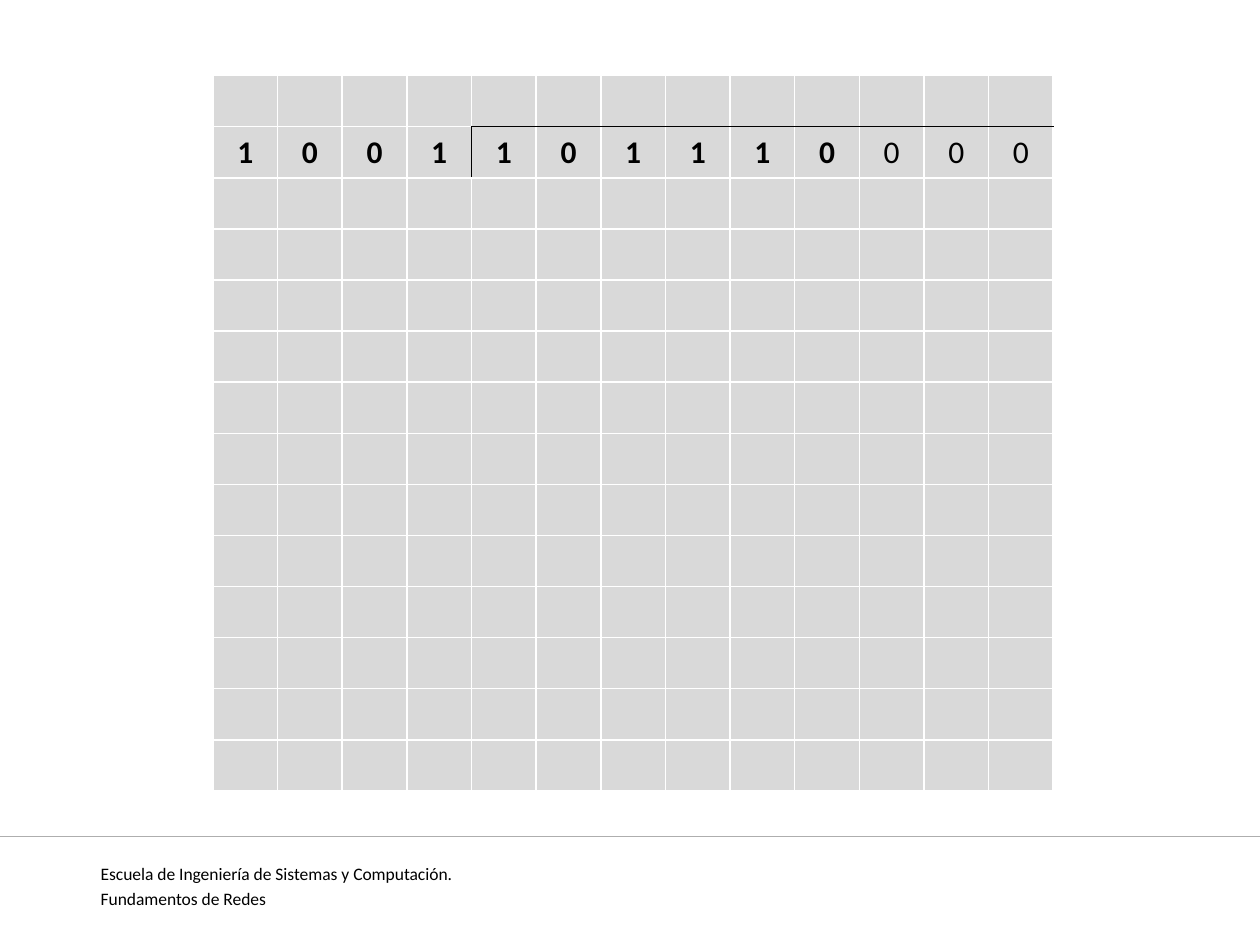
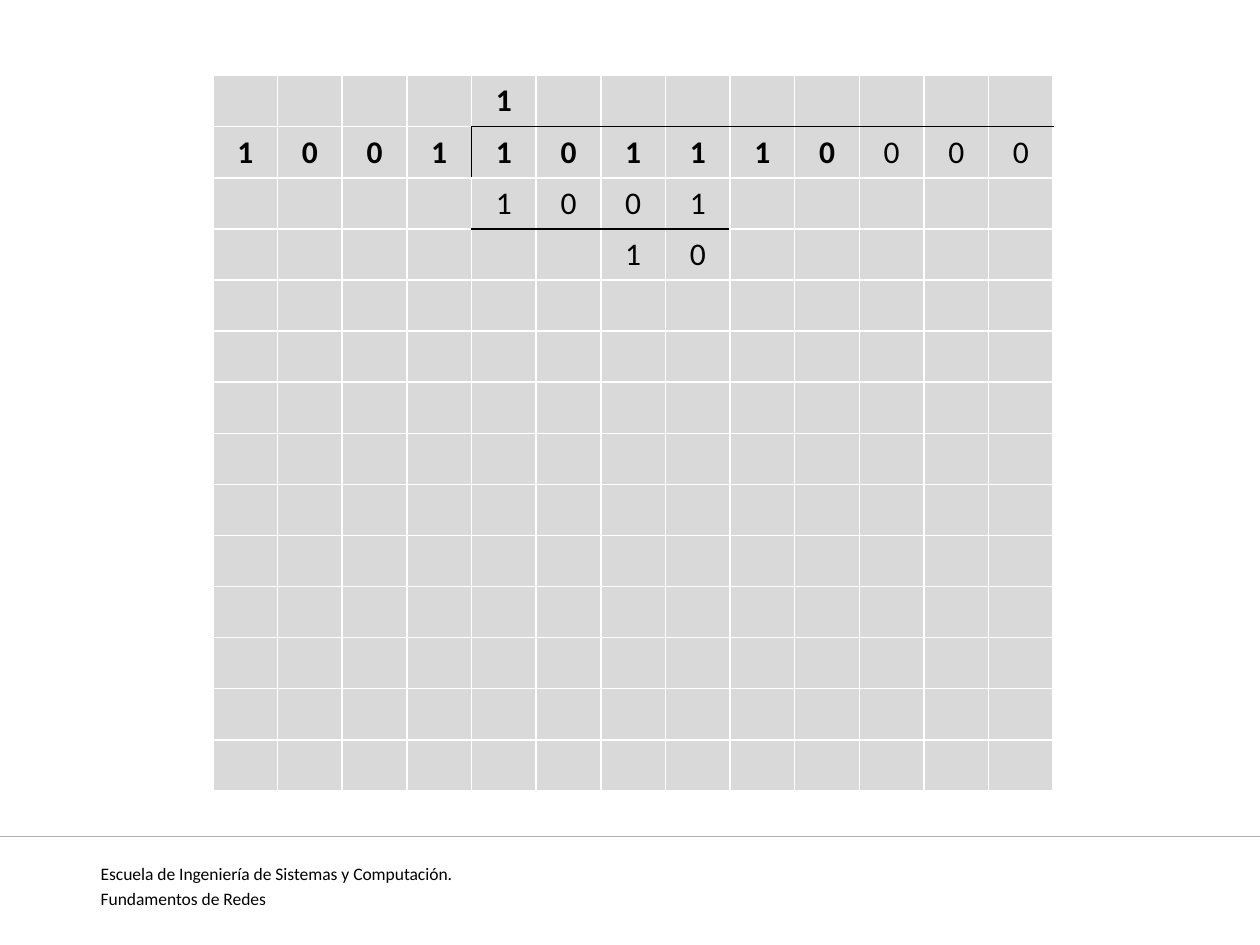
from collections import namedtuple

from lxml import etree
from pptx import Presentation
from pptx.dml.color import RGBColor
from pptx.enum import shapes, text
from pptx.oxml import ns
from pptx.util import Inches, Pt

COLORS = {"ink": "000000", "cell": "D9D9D9", "grid": "FFFFFF", "rule": "AEAEAE"}
FONT = "Calibri"
FOOTER_LINES = ["Escuela de Ingeniería de Sistemas y Computación.", "Fundamentos de Redes"]
ROWS, COLUMNS = 14, 13
DIVIDEND_ROW, DIVIDEND_COLUMN = 1, 4

Box = namedtuple("Box", "left top width height")
Digits = namedtuple("Digits", "row column value bold")

DIVISION_BOX = Box(1.69, 0.6, 6.67, 5.68)
FOOTER_BOX = Box(0, 6.64, 10, 0.86)

PROBLEM = [
    Digits(1, 0, "1001", True),
    Digits(1, 4, "101110", True),
    Digits(1, 10, "000", False),
]
FIRST_STEP = [
    Digits(0, 4, "1", True),
    Digits(2, 4, "1001", False),
    Digits(3, 6, "10", False),
]
DIVISION_BAR = {(DIVIDEND_ROW, column) for column in range(DIVIDEND_COLUMN, COLUMNS)}
SUBTRACTION_BAR = {(3, column) for column in range(4, 8)}


def color(name):
    """Return the named colour."""
    return RGBColor.from_string(COLORS[name])


def write(paragraph, words, size, bold=False):
    """Add one run of dark text to a paragraph."""
    run = paragraph.add_run()
    run.text = words
    run.font.name = FONT
    run.font.size = Pt(size)
    run.font.bold = bold
    run.font.color.rgb = color("ink")


def add_border(cell, side, name):
    """Draw a one-point border on one side of a cell."""
    properties = cell._tc.get_or_add_tcPr()
    line = etree.SubElement(properties, ns.qn(f"a:ln{side}"), w=str(Pt(1)))
    fill = etree.SubElement(line, ns.qn("a:solidFill"))
    etree.SubElement(fill, ns.qn("a:srgbClr"), val=COLORS[name])


def format_cell(cell, row, column, bars):
    """Fill a cell and draw its borders, dark along the bars."""
    dark_sides = {
        "L": (row, column) == (DIVIDEND_ROW, DIVIDEND_COLUMN),
        "R": (row, column + 1) == (DIVIDEND_ROW, DIVIDEND_COLUMN),
        "T": (row, column) in bars,
        "B": (row + 1, column) in bars,
    }
    for side, dark in dark_sides.items():
        add_border(cell, side, "ink" if dark else "grid")
    cell.fill.solid()
    cell.fill.fore_color.rgb = color("cell")
    cell.vertical_anchor = text.MSO_ANCHOR.MIDDLE
    cell.margin_top = cell.margin_bottom = Inches(0.04)


def add_division(slide, box, digit_groups, bars):
    """Lay out the long division on a grid of equal cells."""
    table = slide.shapes.add_table(ROWS, COLUMNS, *map(Inches, box)).table
    table.first_row = table.horz_banding = False
    for column in table.columns:
        column.width = Inches(box.width / COLUMNS)
    for row in table.rows:
        row.height = Inches(box.height / ROWS)
    for row in range(ROWS):
        for column in range(COLUMNS):
            format_cell(table.cell(row, column), row, column, bars)
    for group in digit_groups:
        for column, digit in enumerate(group.value, group.column):
            paragraph = table.cell(group.row, column).text_frame.paragraphs[0]
            paragraph.alignment = text.PP_ALIGN.CENTER
            write(paragraph, digit, 18, group.bold)


def add_footer(slide, box):
    """Draw the footer rule and the course name below it."""
    left, top = Inches(box.left), Inches(box.top)
    rule = slide.shapes.add_connector(
        shapes.MSO_CONNECTOR.STRAIGHT, left, top, left + Inches(box.width), top)
    rule.line.color.rgb = color("rule")
    rule.line.width = Pt(0.75)
    etree.SubElement(rule._element.spPr, ns.qn("a:effectLst"))
    frame = slide.shapes.add_textbox(
        left + Inches(0.7), top + Inches(0.16), Inches(8.98), Inches(0.39)).text_frame
    frame.word_wrap = True
    for index, words in enumerate(FOOTER_LINES):
        paragraph = frame.add_paragraph() if index else frame.paragraphs[0]
        paragraph.alignment = text.PP_ALIGN.JUSTIFY
        paragraph.space_before = Pt(2 if index else 0)
        write(paragraph, words, 10)


def add_division_slide(presentation, digit_groups, bars):
    """Add a slide with one stage of the division."""
    slide = presentation.slides.add_slide(presentation.slide_layouts[6])
    add_footer(slide, FOOTER_BOX)
    add_division(slide, DIVISION_BOX, digit_groups, bars)


def main():
    """Build and save the presentation."""
    presentation = Presentation()
    presentation.slide_width = Inches(10)
    presentation.slide_height = Inches(7.5)
    add_division_slide(presentation, PROBLEM, DIVISION_BAR)
    add_division_slide(presentation, PROBLEM + FIRST_STEP, DIVISION_BAR | SUBTRACTION_BAR)
    presentation.save("out.pptx")


if __name__ == "__main__":
    main()
